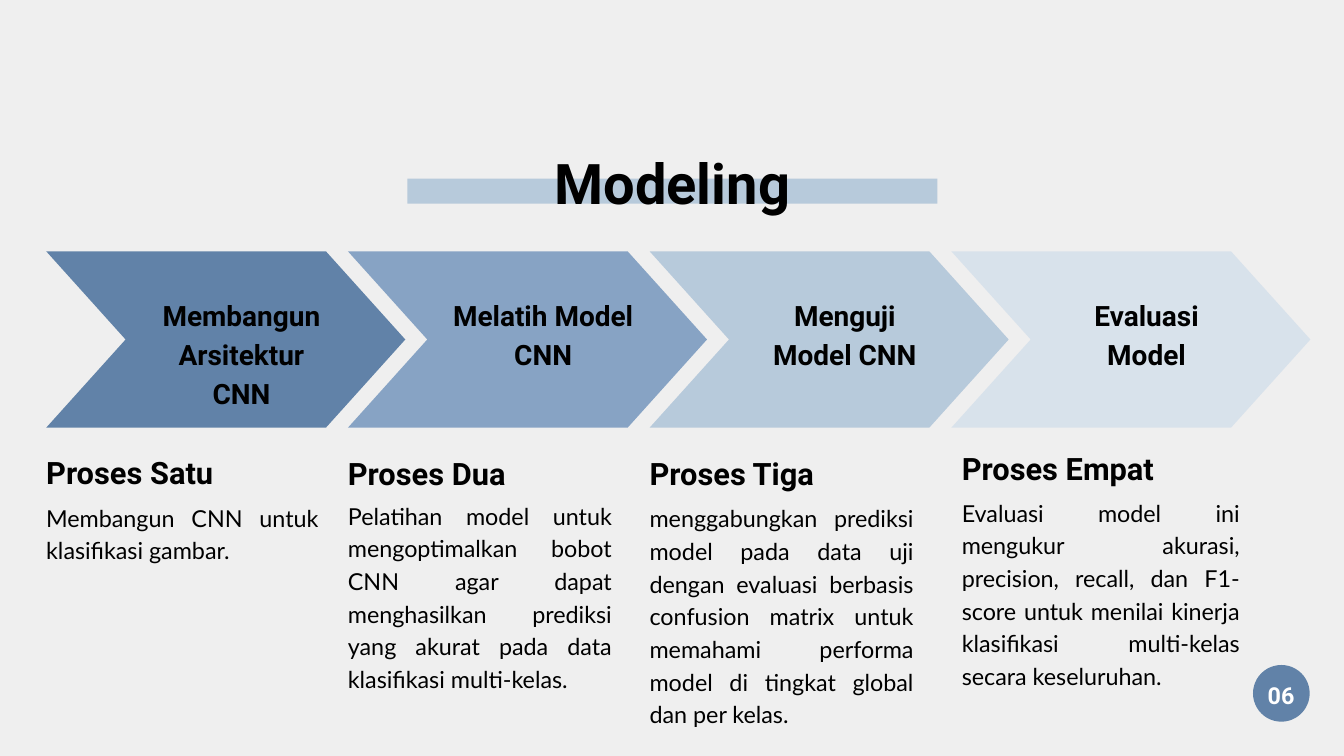
from dataclasses import dataclass

from pptx import Presentation
from pptx.dml.color import RGBColor
from pptx.enum.shapes import MSO_SHAPE
from pptx.enum.text import MSO_ANCHOR, MSO_AUTO_SIZE, PP_ALIGN
from pptx.shapes.autoshape import Shape
from pptx.slide import Slide
from pptx.util import Emu, Pt

EMU_PER_PX = 9525
FIRST_X, STEP_X = 66, 431
CHEVRON_Y, CHEVRON_W, CHEVRON_H = 359, 513, 252
LABEL_DX, LABEL_Y, LABEL_W, LABEL_H = 146, 418, 266, 111


@dataclass(frozen=True)
class Box:
    """A position and size in px."""
    x: int
    y: int
    w: int
    h: int


@dataclass(frozen=True)
class Style:
    """The look of one paragraph; sizes are in points."""
    font: str
    size: int
    bold: bool = True
    color: str = "000000"
    align: PP_ALIGN = PP_ALIGN.LEFT


@dataclass(frozen=True)
class Step:
    """One process step: its chevron and the text beneath it."""
    label: str
    fill: str
    heading: str
    body: str
    heading_y: int
    body_y: int
    body_w: int
    text_dx: int = 0


TITLE = Style("Roboto", 60, align=PP_ALIGN.CENTER)
LABEL = Style("Roboto", 30, align=PP_ALIGN.CENTER)
HEADING = Style("Roboto", 33)
BODY = Style("Lato", 25, bold=False, align=PP_ALIGN.JUSTIFY)
NUMBER = Style("Roboto", 25, color="FFFFFF", align=PP_ALIGN.CENTER)

STEPS = [
    Step("Membangun Arsitektur CNN", "6182A8", "Proses Satu",
         "Membangun CNN untuk klasifikasi gambar.", 640, 713, 389),
    Step("Melatih Model CNN", "87A3C4", "Proses Dua",
         "Pelatihan model untuk mengoptimalkan bobot CNN agar dapat "
         "menghasilkan prediksi yang akurat pada data klasifikasi multi-kelas.",
         641, 710, 377),
    Step("Menguji Model CNN", "B7CADB", "Proses Tiga",
         "menggabungkan prediksi model pada data uji dengan evaluasi berbasis "
         "confusion matrix untuk memahami performa model di tingkat global "
         "dan per kelas.", 641, 714, 377),
    Step("Evaluasi Model", "D8E2EB", "Proses Empat",
         "Evaluasi model ini mengukur akurasi, precision, recall, dan F1-score "
         "untuk menilai kinerja klasifikasi multi-kelas secara keseluruhan.",
         633, 706, 397, text_dx=15),
]


def px(n: int) -> Emu:
    """Turn px into EMU."""
    return Emu(n * EMU_PER_PX)


def rgb(value: str) -> RGBColor:
    """Turn a hex string into a colour."""
    return RGBColor.from_string(value)


def place(sp: Shape, box: Box) -> None:
    """Move and size a shape."""
    sp.left, sp.top, sp.width, sp.height = map(px, (box.x, box.y, box.w, box.h))


def write(sp: Shape, text: str, style: Style) -> None:
    """Write one styled paragraph into a shape without insets."""
    tf = sp.text_frame
    tf.word_wrap = True
    tf.auto_size = MSO_AUTO_SIZE.NONE
    tf.vertical_anchor = MSO_ANCHOR.TOP
    tf.margin_left = tf.margin_top = tf.margin_right = tf.margin_bottom = 0
    p = tf.paragraphs[0]
    p.alignment = style.align
    p.line_spacing = Pt(style.size * 1.4)
    r = p.add_run()
    r.text = text
    r.font.name = style.font
    r.font.size = Pt(style.size)
    r.font.bold = style.bold
    r.font.color.rgb = rgb(style.color)


def add_text(s: Slide, box: Box, text: str, style: Style) -> None:
    """Add a text box."""
    sp = s.shapes.add_textbox(0, 0, 0, 0)
    place(sp, box)
    write(sp, text, style)


def add_solid(s: Slide, kind: MSO_SHAPE, box: Box, fill: str) -> Shape:
    """Add a filled shape without outline or shadow."""
    sp = s.shapes.add_shape(kind, 0, 0, 0, 0)
    place(sp, box)
    sp.shadow.inherit = False
    sp.fill.solid()
    sp.fill.fore_color.rgb = rgb(fill)
    sp.line.fill.background()
    return sp


def add_title(s: Slide, text: str) -> None:
    """Fill the title placeholder and set it in front of its bar."""
    add_solid(s, MSO_SHAPE.RECTANGLE, Box(582, 255, 757, 36), "B7CADB")
    sp = s.shapes.title
    place(sp, Box(587, 196, 747, 107))
    write(sp, text, TITLE)
    sp.element.getparent().append(sp.element)


def add_step(s: Slide, x: int, step: Step) -> None:
    """Add a chevron with its label, heading and description."""
    chevron = add_solid(s, MSO_SHAPE.CHEVRON,
                        Box(x, CHEVRON_Y, CHEVRON_W, CHEVRON_H), step.fill)
    chevron.adjustments[0] = 0.45
    add_text(s, Box(x + LABEL_DX, LABEL_Y, LABEL_W, LABEL_H), step.label, LABEL)
    text_x = x + step.text_dx
    add_text(s, Box(text_x, step.heading_y, 350, 60), step.heading, HEADING)
    add_text(s, Box(text_x, step.body_y, step.body_w, 320), step.body, BODY)


def main() -> None:
    """Build and save the slide."""
    prs = Presentation()
    prs.slide_width, prs.slide_height = px(1920), px(1080)
    s = prs.slides.add_slide(prs.slide_layouts[5])
    s.background.fill.solid()
    s.background.fill.fore_color.rgb = rgb("EFEFEF")
    add_title(s, "Modeling")
    for i, step in enumerate(STEPS):
        add_step(s, FIRST_X + i * STEP_X, step)
    add_solid(s, MSO_SHAPE.OVAL, Box(1790, 950, 81, 81), "6182A8")
    add_text(s, Box(1788, 966, 84, 44), "06", NUMBER)
    prs.save("out.pptx")


if __name__ == "__main__":
    main()
